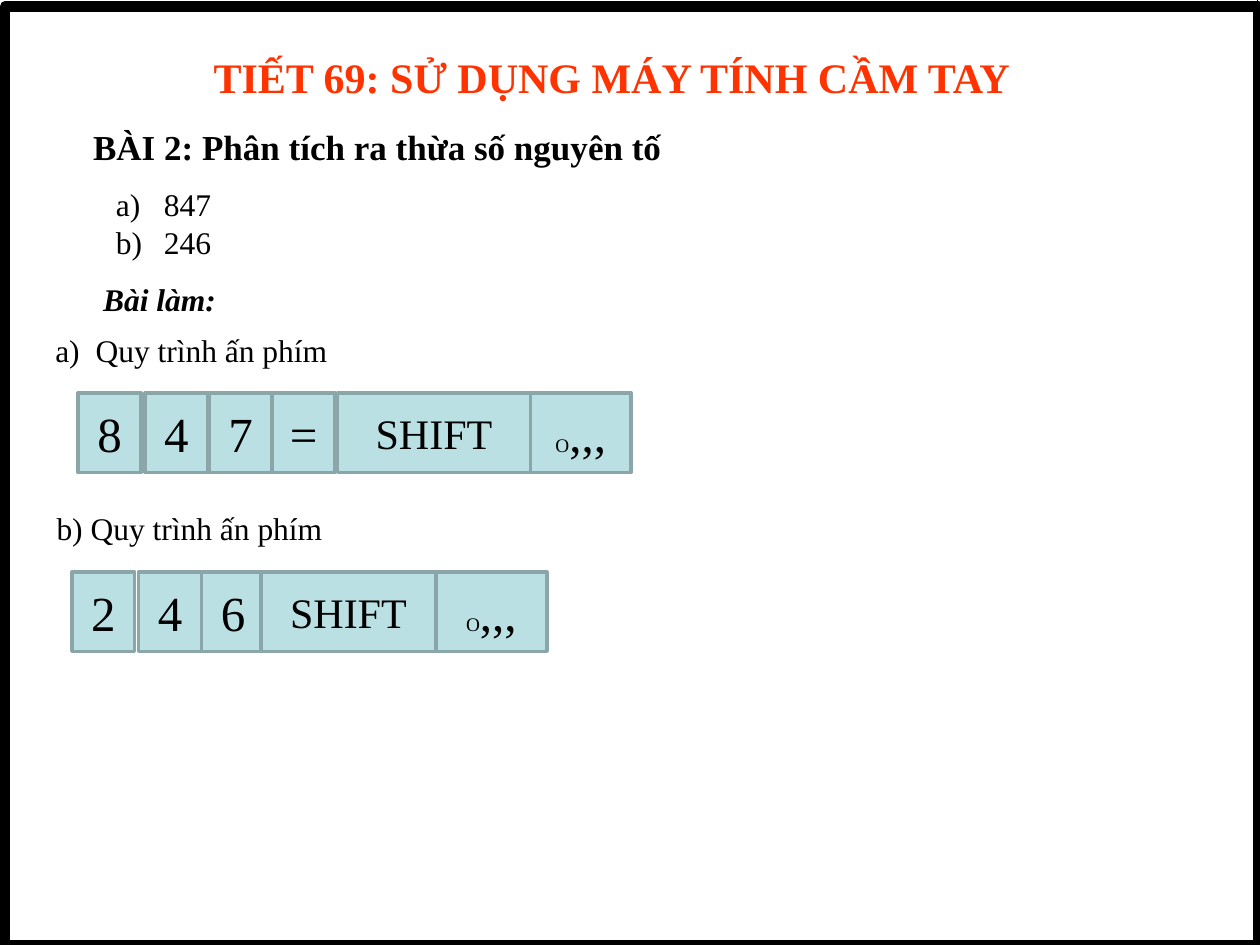
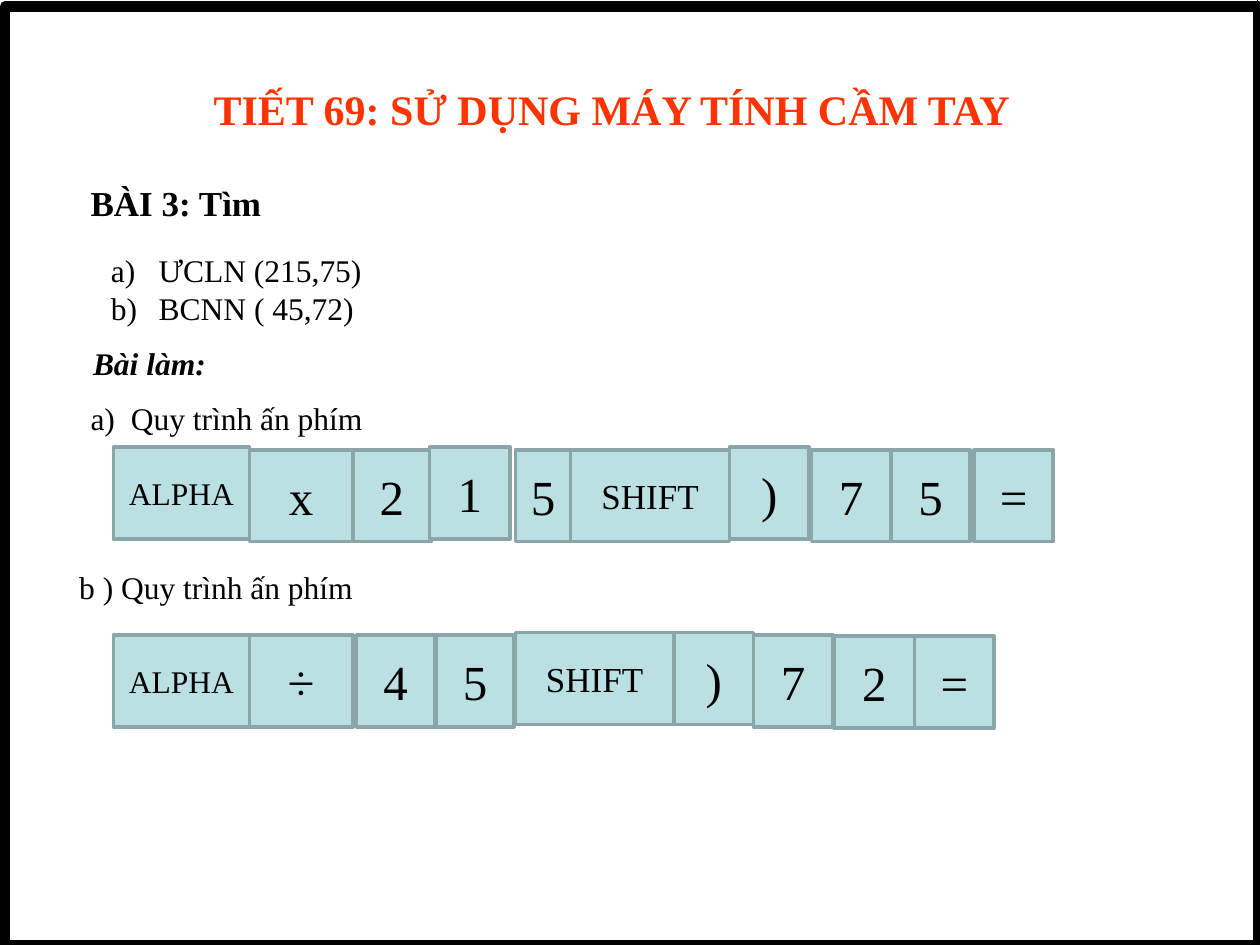
import dataclasses

import lxml.etree
import pptx
import pptx.dml.color
import pptx.enum.shapes
import pptx.enum.text
import pptx.oxml.ns
import pptx.util

Inches = pptx.util.Inches
Pt = pptx.util.Pt
qn = pptx.oxml.ns.qn
RGB = pptx.dml.color.RGBColor.from_string
ALIGN = pptx.enum.text.PP_ALIGN
ANCHOR = pptx.enum.text.MSO_ANCHOR
SHAPE = pptx.enum.shapes.MSO_SHAPE


@dataclasses.dataclass(frozen=True)
class Theme:
    font: str = "Times New Roman"
    ink: str = "000000"
    title: str = "FF3300"
    key_fill: str = "BBE0E3"
    key_line: str = "8AA6A8"
    title_size: int = 24
    heading_size: int = 20
    body_size: int = 18
    digit_size: int = 28
    alpha_size: int = 18
    degree_size: int = 11
    frame_width: float = 6
    edge_width: float = 0.75
    key_line_width: float = 2


@dataclasses.dataclass(frozen=True)
class Key:
    label: str
    width: float
    gap: float = 0
    drop: float = 0


THEME = Theme()
LESSON = "TIẾT 69: SỬ DỤNG MÁY TÍNH CẦM TAY "


def add_run(p, text, size, color=THEME.ink, bold=False, italic=False):
    r = p.add_run()
    r.text = text
    f = r.font
    f.name, f.size, f.bold, f.italic = THEME.font, Pt(size), bold, italic
    f.color.rgb = RGB(color)


def place(sp, box):
    sp.left, sp.top, sp.width, sp.height = (Inches(v) for v in box)
    tf = sp.text_frame
    tf.word_wrap = True
    tf.auto_size = pptx.enum.text.MSO_AUTO_SIZE.NONE
    tf.vertical_anchor = ANCHOR.TOP
    return tf


def add_frame(s, box):
    x, y, w, h = box
    sp = s.shapes.add_shape(SHAPE.RECTANGLE, *(Inches(v) for v in box))
    sp.shadow.inherit = False
    sp.fill.background()
    sp.line.color.rgb = RGB(THEME.ink)
    sp.line.width = Pt(THEME.frame_width)
    edge = Inches(x + w - 0.01)
    line = s.shapes.add_connector(
        pptx.enum.shapes.MSO_CONNECTOR.STRAIGHT, edge, 0, edge, Inches(y + h))
    line.line.color.rgb = RGB(THEME.ink)
    line.line.width = Pt(THEME.edge_width)
    lxml.etree.SubElement(line._element.spPr, qn("a:effectLst"))


def add_title(s, box):
    p = place(s.shapes.title, box).paragraphs[0]
    p.alignment = ALIGN.CENTER
    add_run(p, LESSON, THEME.title_size, THEME.title, bold=True)


def add_label(s, box, text, size=THEME.body_size, bold=False, italic=False, tab=None):
    p = place(s.shapes.add_textbox(0, 0, 0, 0), box).paragraphs[0]
    if tab:
        tabs = lxml.etree.SubElement(p._p.get_or_add_pPr(), qn("a:tabLst"))
        lxml.etree.SubElement(tabs, qn("a:tab"), pos=str(Inches(tab)), algn="l")
    add_run(p, text, size, bold=bold, italic=italic)


def add_questions(s, box, questions):
    tf = place(s.placeholders[1], box)
    for i, question in enumerate(questions):
        p = tf.add_paragraph() if i else tf.paragraphs[0]
        pPr = p._p.get_or_add_pPr()
        pPr.set("marL", str(Inches(0.38)))
        pPr.set("indent", str(-Inches(0.38)))
        lxml.etree.SubElement(pPr, qn("a:buAutoNum"), type="alphaLcParenR")
        p.space_before = Pt(0)
        add_run(p, question, THEME.body_size)


def key_runs(label, shift_size):
    if label == "O,,,":
        return [("O", THEME.degree_size), (",,,", THEME.digit_size)]
    sizes = {"SHIFT": shift_size, "ALPHA": THEME.alpha_size}
    return [(label, sizes.get(label, THEME.digit_size))]


def add_key_row(s, box, keys, shift_size):
    x, y, height = box
    for key in keys:
        x += key.gap
        sp = s.shapes.add_shape(SHAPE.RECTANGLE, Inches(x), Inches(y + key.drop),
                                Inches(key.width), Inches(height))
        x += key.width
        sp.shadow.inherit = False
        sp.fill.solid()
        sp.fill.fore_color.rgb = RGB(THEME.key_fill)
        sp.line.color.rgb = RGB(THEME.key_line)
        sp.line.width = Pt(THEME.key_line_width)
        tf = sp.text_frame
        tf.margin_left = tf.margin_right = Inches(0.05)
        tf.vertical_anchor = ANCHOR.MIDDLE
        p = tf.paragraphs[0]
        p.alignment = ALIGN.CENTER
        for text, size in key_runs(key.label, shift_size):
            add_run(p, text, size)


def add_exercise(prs, title_top, heading, questions, solution, steps, shift_size):
    s = prs.slides.add_slide(prs.slide_layouts[1])
    add_frame(s, (0.04, 0.05, 9.95, 7.45))
    add_title(s, (0.29, title_top, 9.2, 0.51))
    text, x, y = heading
    add_label(s, (x, y, 4.72, 0.44), text, THEME.heading_size, bold=True)
    items, x, y = questions
    add_questions(s, (x, y, 6.22, 0.71), items)
    add_label(s, (*solution, 1.34, 0.4), "Bài làm:", bold=True, italic=True)
    for text, x, y, row, keys in steps:
        add_label(s, (x, y, 6.22, 0.4), text, tab=0.32)
        add_key_row(s, row, keys, shift_size)


def main():
    prs = pptx.Presentation()
    prs.slide_width, prs.slide_height = Inches(10), Inches(7.5)

    keys_847 = [Key("8", 0.5), Key("4", 0.5, 0.03), Key("7", 0.5, 0.01), Key("=", 0.5),
                Key("SHIFT", 1.53, 0.02), Key("O,,,", 0.8)]
    keys_246 = [Key("2", 0.5), Key("4", 0.5, 0.03), Key("6", 0.5),
                Key("SHIFT", 1.39, -0.03), Key("O,,,", 0.88)]
    add_exercise(
        prs, 0.36, ("BÀI 2: Phân tích ra thừa số nguyên tố", 0.64, 0.95),
        (["847", "246"], 0.82, 1.42), (0.72, 2.17),
        [("a)\tQuy trình ấn phím", 0.34, 2.58, (0.62, 3.12, 0.63), keys_847),
         ("b) Quy trình ấn phím", 0.35, 3.99, (0.57, 4.54, 0.63), keys_246)],
        shift_size=24)

    keys_gcd = [Key("ALPHA", 1.08), Key("x", 0.82, 0, 0.02), Key("2", 0.62, 0, 0.02),
                Key("1", 0.64, -0.01), Key("5", 0.44, 0.04, 0.02),
                Key("SHIFT", 1.26, 0, 0.02), Key(")", 0.63), Key("7", 0.63, 0.02, 0.02),
                Key("5", 0.63, 0, 0.02), Key("=", 0.63, 0.03, 0.02)]
    keys_lcm = [Key("ALPHA", 1.08, 0, 0.02), Key("÷", 0.82, 0, 0.02),
                Key("4", 0.62, 0.03, 0.02), Key("5", 0.62, 0.01, 0.02),
                Key("SHIFT", 1.26, 0.01), Key(")", 0.63), Key("7", 0.63, 0, 0.02),
                Key("2", 0.64, 0.01, 0.03), Key("=", 0.63, 0, 0.03)]
    add_exercise(
        prs, 0.61, ("BÀI 3: Tìm", 0.62, 1.39),
        (["ƯCLN (215,75)", "BCNN ( 45,72)"], 0.78, 1.94), (0.64, 2.68),
        [("a)\tQuy trình ấn phím", 0.62, 3.12, (0.9, 3.55, 0.73), keys_gcd),
         ("b ) Quy trình ấn phím", 0.53, 4.46, (0.9, 5.02, 0.73), keys_lcm)],
        shift_size=20)

    prs.save("out.pptx")


if __name__ == "__main__":
    main()
